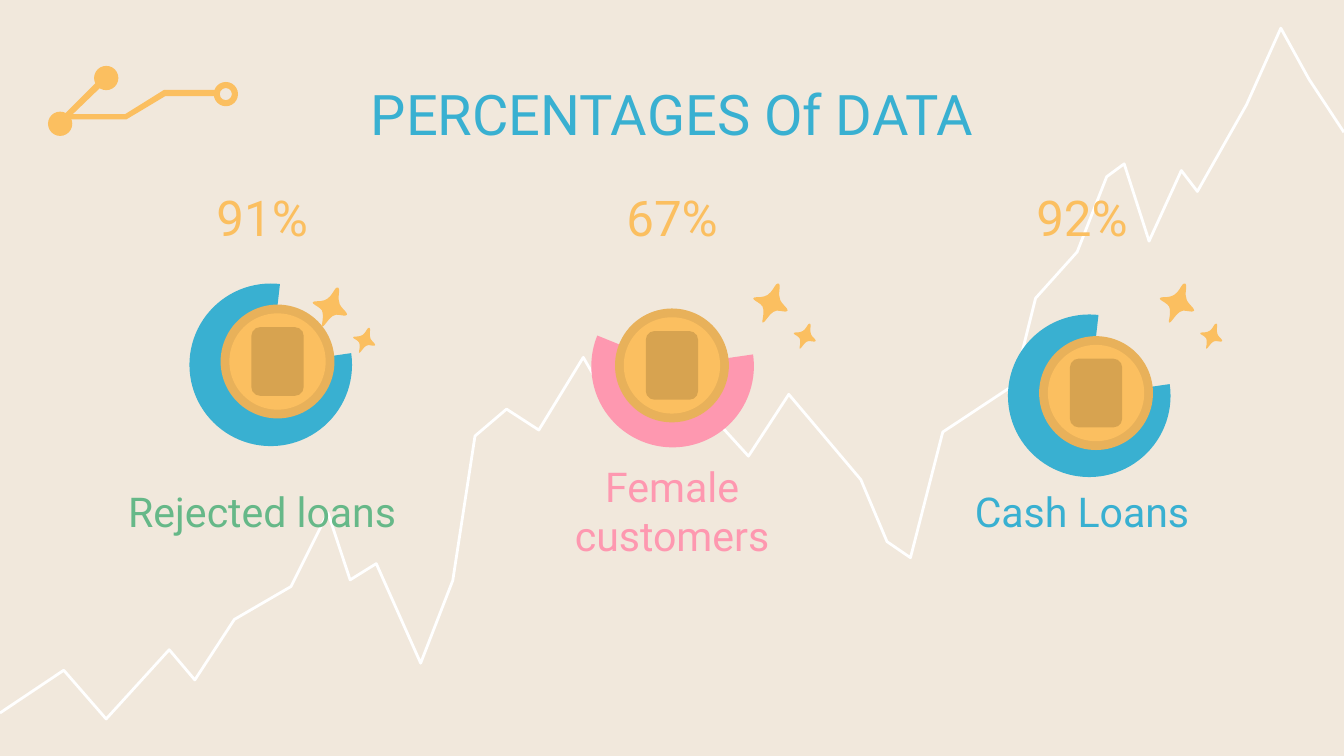
from pptx import Presentation
from pptx.dml.color import RGBColor
from pptx.enum.shapes import MSO_SHAPE
from pptx.enum.text import MSO_ANCHOR, MSO_AUTO_SIZE, PP_ALIGN
from pptx.util import Pt

OVAL, DONUT, PIE = MSO_SHAPE.OVAL, MSO_SHAPE.DONUT, MSO_SHAPE.PIE
ROUNDED = MSO_SHAPE.ROUNDED_RECTANGLE
TOP, MIDDLE = MSO_ANCHOR.TOP, MSO_ANCHOR.MIDDLE
CENTER, NO_AUTOFIT = PP_ALIGN.CENTER, MSO_AUTO_SIZE.NONE

CREAM = RGBColor(0xF1, 0xE8, 0xDC)
WHITE = RGBColor(0xFF, 0xFF, 0xFF)
AMBER = RGBColor(0xFB, 0xBF, 0x60)
RIM = RGBColor(0xE8, 0xB1, 0x5A)
EMBLEM = RGBColor(0xD7, 0xA3, 0x50)
BLUE = RGBColor(0x39, 0xB0, 0xD1)
PINK = RGBColor(0xFE, 0x98, 0xB0)
GREEN = RGBColor(0x66, 0xB8, 0x88)

COLUMN_LEFT, COLUMN_STEP, COLUMN_WIDTH = 56.2, 219.6, 168.5
PIE_SIZE = 87.1
PIE_END = 112.96

TREND = [
    (0, 382), (34.2, 359.1), (56.9, 385.2), (90.7, 348.1), (104.4, 364.3),
    (125.6, 331.9), (155.9, 314.3), (175.7, 274.7), (187.6, 310.7),
    (201.6, 302), (225.4, 355.3), (242.6, 311), (254.5, 233.6),
    (271.4, 219.2), (288.7, 230.4), (312.5, 191.5), (324.4, 212),
    (339.5, 203.4), (372.2, 235.8), (386.6, 228.6), (401, 244.4),
    (422.6, 211.3), (461.2, 257), (475.2, 290.2), (487.8, 298.8),
    (505.1, 231.5), (543.2, 206.3), (554.8, 159.8), (577.1, 135),
    (592.9, 94.7), (602.3, 87.8), (615.6, 129.2), (632.9, 91.4),
    (641.5, 102.6), (667.8, 56.2), (686.2, 15.1), (701.3, 42.5), (720, 70.9),
]
CIRCUIT_PATH = [(36, 64), (36, 61.2), (67, 61.2), (87.8, 48.2), (116.6, 48.2),
                (116.6, 51.5), (88.6, 51.5), (67.7, 64)]
CIRCUIT_BRANCH = [(52.6, 43.2), (33.8, 61.9), (36, 64.1), (55.4, 45.4)]

# Bezier outline of a sparkle: start point, then control, control, end
SPARKLE_START = (11.5, 0)
SPARKLE_CURVES = [
    ((9.4, 0), (10.1, 3.6), (7.2, 7.2)),
    ((4.3, 10.1), (0.7, 9.4), (0, 10.8)),
    ((0, 12.2), (5.8, 12.2), (6.5, 15.1)),
    ((7.9, 18.7), (7.2, 22.3), (7.9, 22.3)),
    ((9.4, 22.3), (10.1, 15.8), (13.7, 14.4)),
    ((16.6, 13.7), (18.7, 14.4), (19.4, 13)),
    ((19.4, 11.5), (14.4, 10.1), (13.7, 7.2)),
    ((12.2, 5), (13, 0.7), (11.5, 0)),
]

# percentage, label, label colour, pie colour, pie corner, pie start,
# coin centre, sparkle corner
COLUMNS = [
    ("91%", "Rejected loans", GREEN, BLUE, (101.5, 151.9), 158.09,
     (148.7, 193.7), (167.2, 153.4)),
    ("67%", "Female customers", PINK, PINK, (316.8, 152.6), 202.75,
     (360, 195.8), (403.2, 151.2)),
    ("92%", "Cash Loans", BLUE, BLUE, (540, 168.5), 158.09,
     (587.2, 210.6), (621, 151.2)),
]


def write_text(shape, text, *, size, color, anchor=MIDDLE, font="Roboto"):
    frame = shape.text_frame
    frame.word_wrap = True
    frame.auto_size = NO_AUTOFIT
    frame.vertical_anchor = anchor
    frame.margin_left = frame.margin_right = Pt(7.2)
    frame.margin_top = frame.margin_bottom = Pt(7.2)
    paragraph = frame.paragraphs[0]
    paragraph.alignment = CENTER
    run = paragraph.add_run()
    run.text = text
    run.font.name = font
    run.font.size = Pt(size)
    run.font.color.rgb = color


def sparkle_outline(left, top, scale, steps=6):
    points = [SPARKLE_START]
    for first, second, end in SPARKLE_CURVES:
        start = points[-1]
        for step in range(1, steps + 1):
            t = step / steps
            u = 1 - t
            points.append(tuple(
                u**3 * a + 3 * u * u * t * b + 3 * u * t * t * c + t**3 * d
                for a, b, c, d in zip(start, first, second, end)))
    return [(left + scale * x, top + scale * y) for x, y in points]


class SlideBuilder:
    def __init__(self, slide, background):
        self.slide = slide
        fill = slide.background.fill
        fill.solid()
        fill.fore_color.rgb = background

    def title(self, text, left, top, width, height, **style):
        shape = self.slide.shapes.title
        shape.left, shape.top = Pt(left), Pt(top)
        shape.width, shape.height = Pt(width), Pt(height)
        write_text(shape, text, **style)

    def text(self, text, left, top, width, height, **style):
        shape = self.slide.shapes.add_textbox(
            Pt(left), Pt(top), Pt(width), Pt(height))
        write_text(shape, text, **style)

    def paint(self, shape, color):
        shape.shadow.inherit = False
        shape.fill.solid()
        shape.fill.fore_color.rgb = color
        shape.line.fill.background()

    def preset(self, kind, left, top, width, height, color, adjustments=()):
        shape = self.slide.shapes.add_shape(
            kind, Pt(left), Pt(top), Pt(width), Pt(height))
        for index, value in enumerate(adjustments):
            shape.adjustments[index] = value
        self.paint(shape, color)
        return shape

    def outline(self, points, color, closed=True):
        corners = [(Pt(x), Pt(y)) for x, y in points]
        builder = self.slide.shapes.build_freeform(*corners[0])
        builder.add_line_segments(corners[1:], close=closed)
        shape = builder.convert_to_shape()
        self.paint(shape, color)
        return shape

    def trend(self, points, color, weight):
        shape = self.outline(points, color, closed=False)
        shape.fill.background()
        shape.line.color.rgb = color
        shape.line.width = Pt(weight)

    def pie(self, left, top, color, start):
        shape = self.preset(PIE, left, top, PIE_SIZE, PIE_SIZE, color,
                            (start, PIE_END))
        shape._element.spPr.get_or_add_xfrm().set("flipH", "1")

    def coin(self, x, y):
        for kind, width, height, color in ((OVAL, 61, 61, RIM),
                                           (OVAL, 51.6, 51.6, AMBER),
                                           (ROUNDED, 28, 36.8, EMBLEM)):
            self.preset(kind, x - width / 2, y - height / 2, width, height,
                        color)

    def sparkles(self, left, top):
        for offset, scale in ((0, 1), (21.8, 0.64)):
            points = sparkle_outline(left + offset, top + offset, scale)
            self.outline(points, AMBER).rotation = 13.3


def main():
    presentation = Presentation()
    presentation.slide_width, presentation.slide_height = Pt(720), Pt(405)
    slide = presentation.slides.add_slide(presentation.slide_layouts[5])
    builder = SlideBuilder(slide, CREAM)

    # Background trend line and circuit ornament
    builder.trend(TREND, WHITE, 1.5)
    builder.outline(CIRCUIT_PATH, AMBER)
    builder.outline(CIRCUIT_BRANCH, AMBER)
    builder.preset(DONUT, 114.5, 43.9, 13, 13, AMBER, (0.25,))
    for left, top in ((50.4, 35.3), (25.7, 59.8)):
        builder.preset(OVAL, left, top, 13, 13, AMBER)

    # Title
    builder.title("PERCENTAGES Of DATA", 56.2, 35.3, 607.7, 45.4,
                  size=30, color=BLUE, anchor=TOP)

    # One column per percentage
    for index, (percentage, label, label_color, pie_color, pie_corner,
                pie_start, coin_center, sparkle_corner) in enumerate(COLUMNS):
        left = COLUMN_LEFT + index * COLUMN_STEP
        builder.text(percentage, left, 95.8, COLUMN_WIDTH, 40.3,
                     size=26.4, color=AMBER)
        builder.text(label, left, 257.8, COLUMN_WIDTH, 31.7,
                     size=22, color=label_color)
        builder.pie(*pie_corner, pie_color, pie_start)
        builder.coin(*coin_center)
        builder.sparkles(*sparkle_corner)

    presentation.save("out.pptx")


if __name__ == "__main__":
    main()
